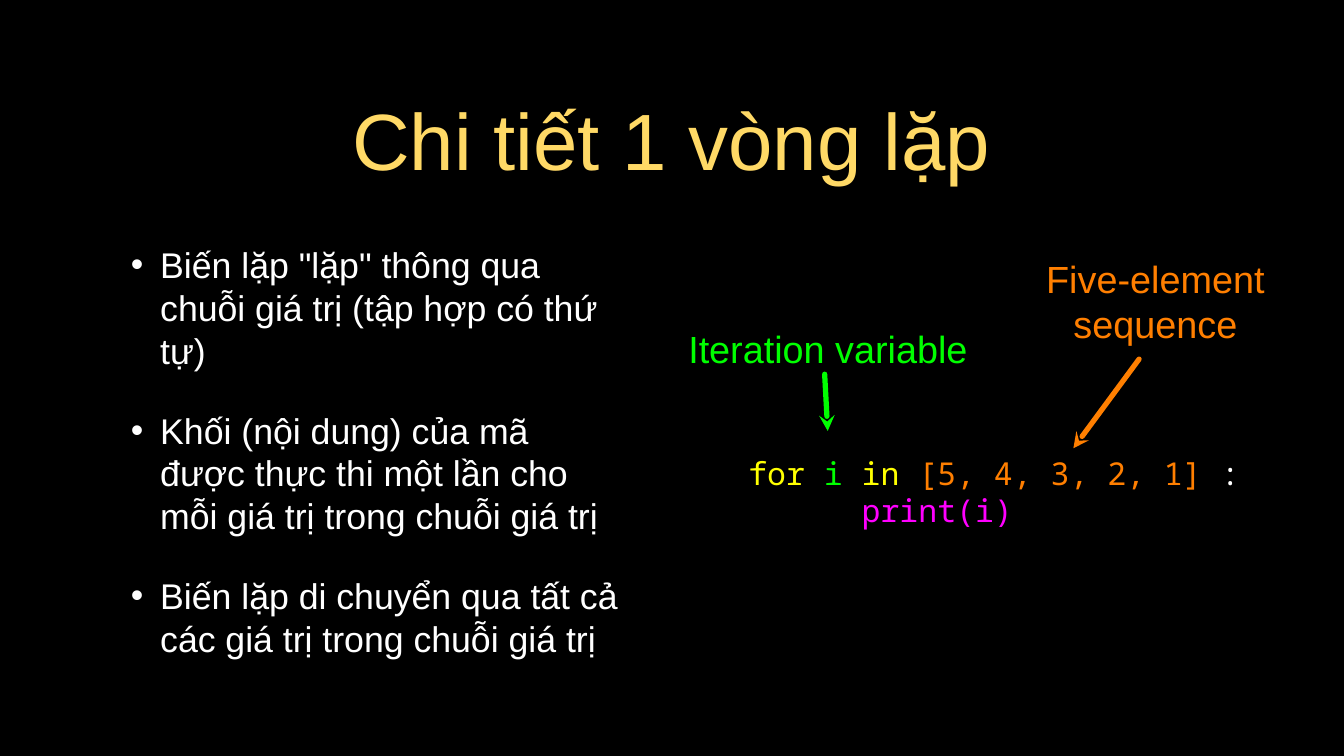
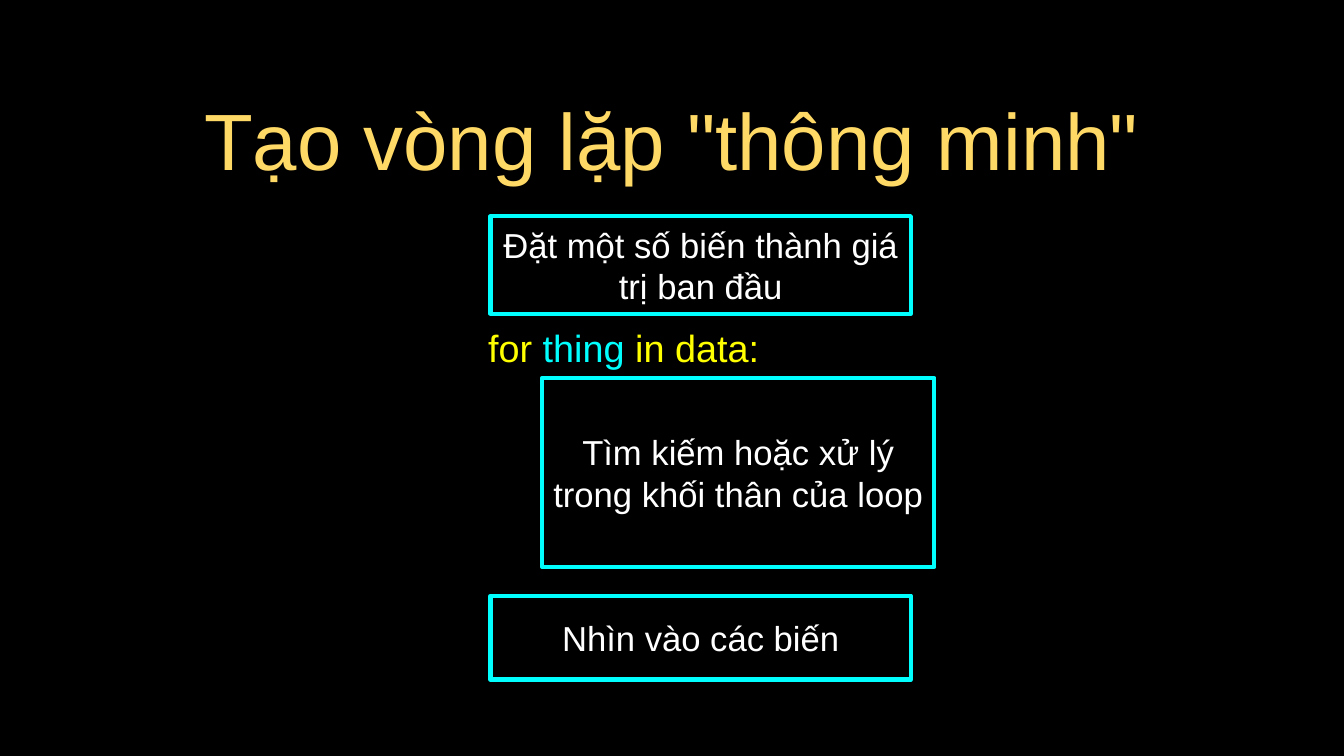
from lxml.etree import SubElement
from pptx import Presentation
from pptx.dml.color import RGBColor
from pptx.enum.shapes import MSO_CONNECTOR, MSO_SHAPE
from pptx.enum.text import MSO_ANCHOR, PP_ALIGN
from pptx.oxml.ns import qn
from pptx.util import Pt

BLACK = RGBColor(0x00, 0x00, 0x00)
WHITE = RGBColor(0xFF, 0xFF, 0xFF)
GOLD = RGBColor(0xFF, 0xD9, 0x66)
YELLOW = RGBColor(0xFF, 0xFF, 0x00)
GREEN = RGBColor(0x00, 0xFF, 0x00)
ORANGE = RGBColor(0xFF, 0x7F, 0x00)
MAGENTA = RGBColor(0xFF, 0x00, 0xFF)
CYAN = RGBColor(0x00, 0xFF, 0xFF)

SANS = "Arial"
MONO = "Noto Sans Mono"
TITLE_BOX = (90.7, 64.1, 1097.3, 135.4)


def write_text(shape, paragraphs, *, size, color=WHITE, font=SANS,
               align=PP_ALIGN.CENTER, inset=0, gap=0):
    """Fill a shape; a paragraph is a string or a list of (text, color) runs."""
    frame = shape.text_frame
    frame.word_wrap = True
    frame.vertical_anchor = MSO_ANCHOR.MIDDLE
    frame.margin_left = frame.margin_right = Pt(inset)
    frame.margin_top = frame.margin_bottom = Pt(inset)
    for index, content in enumerate(paragraphs):
        paragraph = frame.add_paragraph() if index else frame.paragraphs[0]
        paragraph.alignment = align
        if index:
            paragraph.space_before = Pt(gap)
        runs = [(content, color)] if isinstance(content, str) else content
        for text, run_color in runs:
            run = paragraph.add_run()
            run.text = text
            run.font.size = Pt(size)
            run.font.name = font
            run.font.color.rgb = run_color
    return frame


def add_text(slide, box, paragraphs, **text_format):
    text_box = slide.shapes.add_textbox(*map(Pt, box))
    return write_text(text_box, paragraphs, **text_format)


def indent(paragraph, left, first=0):
    properties = paragraph._p.get_or_add_pPr()
    properties.set("marL", str(Pt(left)))
    properties.set("indent", str(Pt(first)))
    return properties


def add_bullets(slide, box, items):
    frame = add_text(slide, box, items, size=34, align=PP_ALIGN.LEFT,
                     inset=2.9, gap=35)
    for paragraph in frame.paragraphs:
        properties = indent(paragraph, 59, -28)
        bullet_color = SubElement(properties, qn("a:buClr"))
        SubElement(bullet_color, qn("a:srgbClr"), val=str(WHITE))
        SubElement(properties, qn("a:buFont"), typeface=SANS)
        SubElement(properties, qn("a:buChar"), char="•")


def add_pointer(slide, tip, start, color):
    """Draw an arrow whose head lies at the tip."""
    pointer = slide.shapes.add_connector(MSO_CONNECTOR.STRAIGHT,
                                         *map(Pt, tip + start))
    pointer.line.color.rgb = color
    pointer.line.width = Pt(5)
    line = pointer.line._get_or_add_ln()
    line.set("cap", "rnd")
    SubElement(line, qn("a:headEnd"), type="stealth")
    SubElement(pointer._element.spPr, qn("a:effectLst"))


def add_step(slide, box, text):
    step = slide.shapes.add_shape(MSO_SHAPE.RECTANGLE, *map(Pt, box))
    step.shadow.inherit = False
    step.fill.background()
    step.line.color.rgb = CYAN
    step.line.width = Pt(4)
    write_text(step, [text], size=33)


def add_titled_slide(presentation, title):
    slide = presentation.slides.add_slide(presentation.slide_layouts[6])
    slide.background.fill.solid()
    slide.background.fill.fore_color.rgb = BLACK
    add_text(slide, TITLE_BOX, [title], size=76, color=GOLD, inset=2.9)
    return slide


def add_annotated_code(slide, left, top):
    """Place the loop, its two labels and their arrows from a top left corner."""
    code = add_text(
        slide, (left + 59.8, top + 169.9, 501.1, 105.1),
        [[("for ", YELLOW), ("i ", GREEN), ("in ", YELLOW),
          ("[5, 4, 3, 2, 1] ", ORANGE), (":", WHITE)],
         [("print(i)", MAGENTA)]],
        size=30, font=MONO, align=PP_ALIGN.LEFT)
    indent(code.paragraphs[1], 108)
    add_text(slide, (left, top + 61.9, 271.4, 49), ["Iteration variable"],
             size=36, color=GREEN)
    add_text(slide, (left + 290.9, top, 313.2, 82.1), ["Five-element sequence"],
             size=36, color=ORANGE)
    add_pointer(slide, (left + 135.4, top + 164.9),
                (left + 132.5, top + 110.9), GREEN)
    add_pointer(slide, (left + 369.4, top + 181.4),
                (left + 432, top + 96.5), ORANGE)


def add_loop_outline(slide, left, top):
    """Place the three steps and the loop header from a top left corner."""
    add_step(slide, (left, top, 400.3, 92.9),
             "Đặt một số biến thành giá trị ban đầu")
    add_step(slide, (left + 49, top + 154.1, 373.7, 180),
             "Tìm kiếm hoặc xử lý trong khối thân của loop")
    add_text(slide, (left - 7.2, top + 100.8, 267.8, 49),
             [[("for ", YELLOW), ("thing", CYAN), (" in data:", YELLOW)]],
             size=36)
    add_step(slide, (left, top + 361.4, 400.3, 79.9), "Nhìn vào các biến")


def main():
    presentation = Presentation()
    presentation.slide_width = Pt(1280.16)
    presentation.slide_height = Pt(720)

    details = add_titled_slide(presentation, "Chi tiết 1 vòng lặp")
    add_bullets(details, (90.7, 205.2, 502.6, 449.3), [
        'Biến lặp "lặp" thông qua chuỗi giá trị (tập hợp có thứ tự)',
        "Khối (nội dung) của mã được thực thi một lần cho mỗi giá trị "
        "trong chuỗi giá trị",
        "Biến lặp di chuyển qua tất cả các giá trị trong chuỗi giá trị",
    ])
    add_annotated_code(details, 653, 245.5)

    smart_loop = add_titled_slide(presentation, 'Tạo vòng lặp "thông minh"')
    add_loop_outline(smart_loop, 467.3, 205.9)

    presentation.save("out.pptx")


if __name__ == "__main__":
    main()
